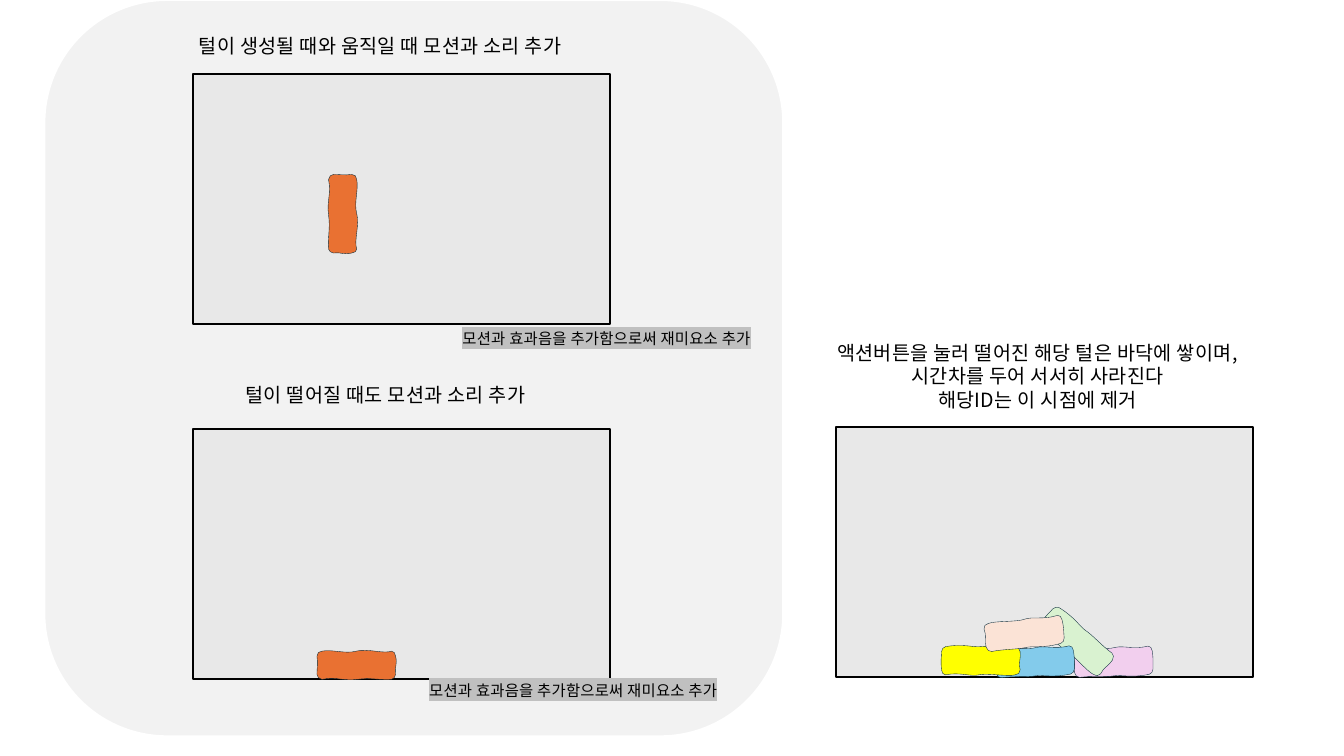
from lxml import etree
from pptx import Presentation
from pptx.dml.color import RGBColor
from pptx.enum import shapes, text
from pptx.oxml.ns import qn
from pptx.util import Pt

BLACK = RGBColor(0, 0, 0)
WHITE = RGBColor(255, 255, 255)
PALE = RGBColor(0xF2, 0xF2, 0xF2)
GREY = RGBColor(0xE8, 0xE8, 0xE8)
MARK = RGBColor(0xC0, 0xC0, 0xC0)
INK = RGBColor(0x09, 0x2A, 0x39)
ORANGE = RGBColor(0xE9, 0x71, 0x32)
PINK = RGBColor(0xF2, 0xCF, 0xEE)
GREEN = RGBColor(0xD9, 0xF2, 0xD0)
BLUE = RGBColor(0x83, 0xCB, 0xEB)
YELLOW = RGBColor(0xFF, 0xFF, 0)
PEACH = RGBColor(0xFB, 0xE3, 0xD6)
FONT = "Noto Sans CJK KR"
MOTION = "모션과 효과음을 추가함으로써 재미요소 추가"

# Hand-drawn block outlines in hundredths of an inch:
# a start point, then curves of two handles and an end point.
FALLING = [(0, 5),
           (1, 2), (2, 0), (5, 0), (10, 0), (17, 1), (23, 0),
           (26, 0), (28, 2), (28, 5), (30, 15), (25, 28), (28, 39),
           (31, 50), (25, 66), (28, 74), (28, 76), (26, 78), (23, 78),
           (15, 80), (13, 77), (5, 78), (3, 78), (0, 76), (0, 74),
           (-1, 64), (2, 53), (0, 40), (-2, 27), (3, 19), (0, 5)]
PILED = [(0, 4),
         (0, 2), (2, 0), (5, 0), (14, -1), (18, 0), (23, 0),
         (25, 0), (28, 2), (28, 4), (31, 22), (27, 32), (28, 39),
         (29, 47), (27, 60), (28, 73), (28, 75), (26, 78), (23, 78),
         (17, 79), (11, 76), (5, 78), (2, 78), (0, 76), (0, 73),
         (-2, 66), (2, 45), (0, 37), (-2, 29), (3, 18), (0, 4)]

prs = Presentation()
prs.slide_width, prs.slide_height = Pt(960), Pt(540)
slide = prs.slides.add_slide(prs.slide_layouts[6])


def paint(shape, fill, line, width):
    shape.shadow.inherit = False
    shape.fill.solid()
    shape.fill.fore_color.rgb = fill
    shape.line.color.rgb = line
    shape.line.width = Pt(width)


def write(words, left, top, width, height, size=14, align=None, mark=None):
    """Add a text box with one paragraph per line of words."""
    box = slide.shapes.add_textbox(Pt(left), Pt(top), Pt(width), Pt(height))
    frame = box.text_frame
    frame.word_wrap = True
    frame.text = words
    for para in frame.paragraphs:
        para.alignment = align
        para.line_spacing = Pt(size * 1.2)
        font = para.runs[0].font
        font.size = Pt(size)
        font.color.rgb = BLACK
        props = para.runs[0]._r.get_or_add_rPr()
        props.set("spc", str(round(size * 1.4)))
        if mark:
            light = etree.SubElement(props, qn("a:highlight"))
            etree.SubElement(light, qn("a:srgbClr"), val=str(mark))
        font.name = FONT
        etree.SubElement(props, qn("a:ea"), typeface=FONT)


panel = slide.shapes.add_shape(shapes.MSO_SHAPE.ROUNDED_RECTANGLE,
                               Pt(31.7), Pt(0), Pt(527.8), Pt(526))
paint(panel, PALE, WHITE, 1.5)

for left, top in [(137.8, 52.6), (137.8, 306.3), (596.9, 305.3)]:
    screen = slide.shapes.add_shape(shapes.MSO_SHAPE.RECTANGLE,
                                    Pt(left), Pt(top), Pt(298), Pt(178.6))
    paint(screen, GREY, BLACK, 1.5)

blocks = [
    (FALLING, 234.7, 124.6, 0, ORANGE),
    (FALLING, 244.8, 446, 270, ORANGE),
    (PILED, 784.8, 445, 87.5, PINK),
    (PILED, 758.9, 429.8, 310.7, GREEN),
    (PILED, 728.6, 445, 87, BLUE),
    (PILED, 690.2, 443.5, 270, YELLOW),
    (PILED, 721.1, 424.8, 83.3, PEACH),
]
for outline, left, top, angle, color in blocks:
    pen = slide.shapes.build_freeform(*outline[0], scale=Pt(0.72))
    pen.add_line_segments(outline[1:], close=True)
    block = pen.convert_to_shape(Pt(left), Pt(top))
    block.rotation = angle
    paint(block, color, INK, 0.25)
    # Join every three straight segments into one curve.
    lines = list(block._element.iter(qn("a:lnTo")))
    for i in range(0, len(lines), 3):
        curve = etree.Element(qn("a:cubicBezTo"))
        lines[i].addprevious(curve)
        for line in lines[i:i + 3]:
            curve.append(line[0])
            line.getparent().remove(line)

write("털이 생성될 때와 움직일 때 모션과 소리 추가", 135, 20.9, 303, 24.5)
write("털이 떨어질 때도 모션과 소리 추가", 168.2, 270, 237, 24.5)
for left, top in [(323.3, 231.8), (299.5, 482.7)]:
    write(MOTION, left, top, 241, 20.9, size=11, mark=MARK)
write("액션버튼을 눌러 떨어진 해당 털은 바닥에 쌓이며, 시간차를 두어 서서히 사라진다\n"
      "해당ID는 이 시점에 제거", 577.4, 239.9, 327.6, 58.3,
      align=text.PP_ALIGN.CENTER)

prs.save("out.pptx")
